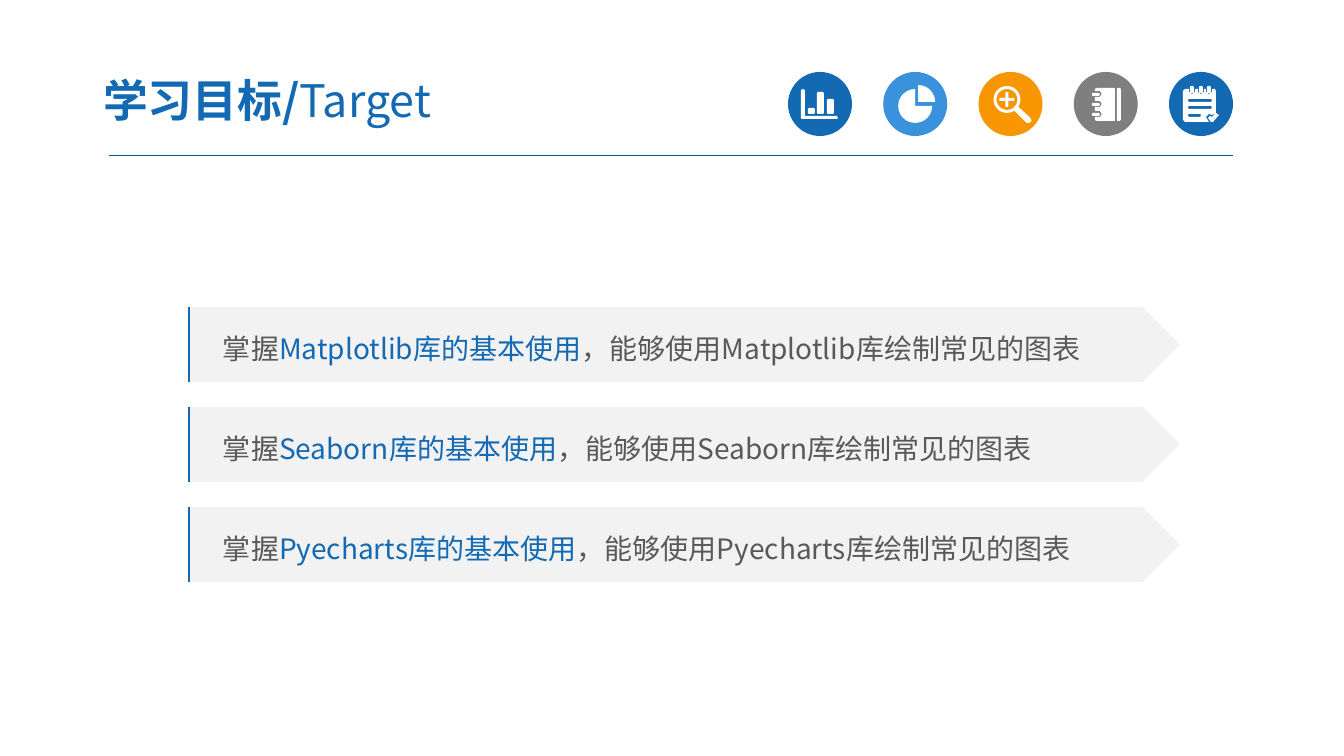
from dataclasses import dataclass
from math import cos, radians, sin

from lxml import etree
from pptx import Presentation
from pptx.dml.color import RGBColor
from pptx.enum.shapes import MSO_CONNECTOR, MSO_SHAPE
from pptx.enum.text import MSO_ANCHOR, MSO_AUTO_SIZE, PP_ALIGN
from pptx.oxml.ns import qn
from pptx.util import Pt

PX = 914400 / 100.8
FINE = 10  # outline units per px
STRAIGHT = MSO_CONNECTOR.STRAIGHT
OVAL, PLATE = MSO_SHAPE.OVAL, MSO_SHAPE.PENTAGON
MIDDLE, LEFT, NO_FIT = MSO_ANCHOR.MIDDLE, PP_ALIGN.LEFT, MSO_AUTO_SIZE.NONE


@dataclass(frozen=True)
class Theme:
    font: str = "Noto Sans CJK SC"
    blue: str = "1369B2"
    sky: str = "3992DB"
    orange: str = "F79600"
    gray: str = "7F7F7F"
    rule: str = "005B9E"
    panel: str = "F2F2F2"
    text: str = "595959"
    white: str = "FFFFFF"
    title_size: int = 32
    body_size: int = 20


THEME = Theme()


def px(*lengths):
    return [round(n * PX) for n in lengths]


def rgb(color):
    return RGBColor.from_string(color)


def paint(sp, color):
    sp.shadow.inherit = False
    sp.fill.solid()
    sp.fill.fore_color.rgb = rgb(color)
    sp.line.fill.background()


def add_shape(shapes, kind, box, color):
    sp = shapes.add_shape(kind, *px(*box))
    paint(sp, color)
    return sp


def add_outline(shapes, x, y, contours, close=True):
    """Draw all contours, given relative to (x, y), as one freeform."""
    builder = None
    for contour in contours:
        points = [((x + dx) * FINE, (y + dy) * FINE) for dx, dy in contour]
        if builder is None:
            builder = shapes.build_freeform(*points[0], scale=PX / FINE)
        else:
            builder.move_to(*points[0])
        builder.add_line_segments(points[1:], close=close)
    return builder.convert_to_shape()


def add_run(p, text, size, color, bold=False):
    r = p.add_run()
    r.text = text
    for name, value in {"name": THEME.font, "size": Pt(size), "bold": bold}.items():
        setattr(r.font, name, value)
    r.font.color.rgb = rgb(color)
    ea = etree.SubElement(r._r.get_or_add_rPr(), qn("a:ea"))
    ea.set("typeface", THEME.font)


def format_frame(tf, margins):
    left, top, right, bottom = px(*margins)
    values = {
        "margin_left": left, "margin_top": top,
        "margin_right": right, "margin_bottom": bottom,
        "vertical_anchor": MIDDLE, "auto_size": NO_FIT, "word_wrap": True,
    }
    for name, value in values.items():
        setattr(tf, name, value)


def add_title(s, box):
    title = s.shapes.title
    title.left, title.top, title.width, title.height = px(*box)
    tf = title.text_frame
    format_frame(tf, (13, 7, 13, 7))
    p = tf.paragraphs[0]
    p.alignment = LEFT
    add_run(p, "学习目标/", THEME.title_size, THEME.blue, True)
    add_run(p, "Target", THEME.title_size, THEME.blue)


def bar(x, y, w, h):
    """Return a rectangle with its corners cut by one px."""
    r, b = x + w, y + h
    return [(x + 1, y), (r - 1, y), (r, y + 1), (r, b - 1),
            (r - 1, b), (x + 1, b), (x, b - 1), (x, y + 1)]


def arc(cx, cy, radius, start=0, end=345, step=15):
    return [(cx + radius * cos(radians(a)), cy + radius * sin(radians(a)))
            for a in range(start, end + 1, step)]


def bar_chart_icon():
    axes = [(13, 18), (15, 17), (17, 18), (17, 44), (49, 44),
            (50, 46), (49, 47), (14, 47), (13, 46)]
    return [axes, bar(20, 36, 7, 6), bar(29, 20, 7, 22), bar(39, 27, 7, 15)]


def pie_icon():
    return [[(32, 34), *arc(32, 34, 17, 0, 270)],
            [(35, 30), *arc(35, 30, 17, 270, 360)]]


def magnifier_icon():
    handle = [(40, 35), (52, 46), (53, 49), (51, 51), (48, 51), (36, 39)]
    plus = [(27, 20), (30, 20), (30, 26), (36, 26), (36, 29), (30, 29),
            (30, 35), (27, 35), (27, 29), (21, 29), (21, 26), (27, 26)]
    return [arc(28.5, 27.5, 13.5), arc(28.5, 27.5, 10.5), plus, handle]


def notebook_icon():
    rings = (22, 32, 42)
    cover = [(41, 16), (23, 16), (21, 17)]
    for y in rings:
        cover += [(21, y - 3), (26, y - 3), (28, y), (26, y + 3), (21, y + 3)]
    cover += [(21, 48), (23, 49), (41, 49)]
    return [cover, bar(43, 16, 4, 33), *(bar(18, y - 1, 8, 3) for y in rings)]


def checklist_icon():
    rings = (23, 32, 40)
    page = [(14, 19), (16, 17)]
    for x in rings:
        page += [(x - 3, 17), (x - 3, 20), (x, 22), (x + 3, 20), (x + 3, 17)]
    page += [(46, 17), (47, 19), (47, 41), (43, 43), (40, 42), (37, 45),
             (40, 50), (16, 50), (14, 48)]
    check = [(39, 46), (41, 44), (43, 45), (47, 41), (50, 43), (44, 50), (42, 50)]
    lines = [bar(19, y, w, 3) for y, w in ((27, 24), (34, 24), (42, 13))]
    return [page, *lines, *(bar(x - 2, 14, 4, 7) for x in rings), check]


def add_icon(s, x, y, size, color, contours):
    shapes = s.shapes.add_group_shape().shapes
    add_shape(shapes, OVAL, (x, y, size, size), color)
    paint(add_outline(shapes, x, y, contours), THEME.white)


def add_header(s, left, top, right, bottom):
    add_title(s, (left - 19, top - 9, 526, 73))
    cn = s.shapes.add_connector(STRAIGHT, *px(left, bottom, right, bottom))
    cn.line.color.rgb = rgb(THEME.rule)
    cn.line.width = Pt(0.75)
    etree.SubElement(cn._element.spPr, qn("a:effectLst"))
    icons = (
        (THEME.blue, bar_chart_icon), (THEME.sky, pie_icon),
        (THEME.orange, magnifier_icon), (THEME.gray, notebook_icon),
        (THEME.blue, checklist_icon),
    )
    size, span = 64, 381
    first = right - size - span
    for i, (color, icon) in enumerate(icons):
        x = first + i * span / (len(icons) - 1)
        add_icon(s, x, top, size, color, icon())


def add_goal(s, x, y, w, h, library):
    shapes = s.shapes.add_group_shape().shapes
    sp = add_shape(shapes, PLATE, (x, y, w, h), THEME.panel)
    format_frame(sp.text_frame, (35, 5, 10, 5))
    p = sp.text_frame.paragraphs[0]
    p.alignment = LEFT
    p.line_spacing = 1.2
    for text, color in (
        ("掌握", THEME.text),
        (f"{library}库的基本使用", THEME.blue),
        (f"，能够使用{library}库绘制常见的图表", THEME.text),
    ):
        add_run(p, text, THEME.body_size, color)
    edge = add_outline(shapes, x + 1, y, [[(0, h), (0, 0)]], close=False)
    edge.shadow.inherit = False
    edge.fill.background()
    edge.line.color.rgb = rgb(THEME.blue)
    edge.line.width = Pt(1.5)


def add_goals(s, x, y, w):
    for i, library in enumerate(("Matplotlib", "Seaborn", "Pyecharts")):
        add_goal(s, x, y + i * 100, w, 75, library)


def main():
    prs = Presentation()
    prs.slide_width, prs.slide_height = px(1344, 756)
    s = prs.slides.add_slide(prs.slide_layouts[5])
    add_header(s, 109, 72, 1233, 156)
    add_goals(s, 188, 307, 992)
    prs.save("out.pptx")


if __name__ == "__main__":
    main()
